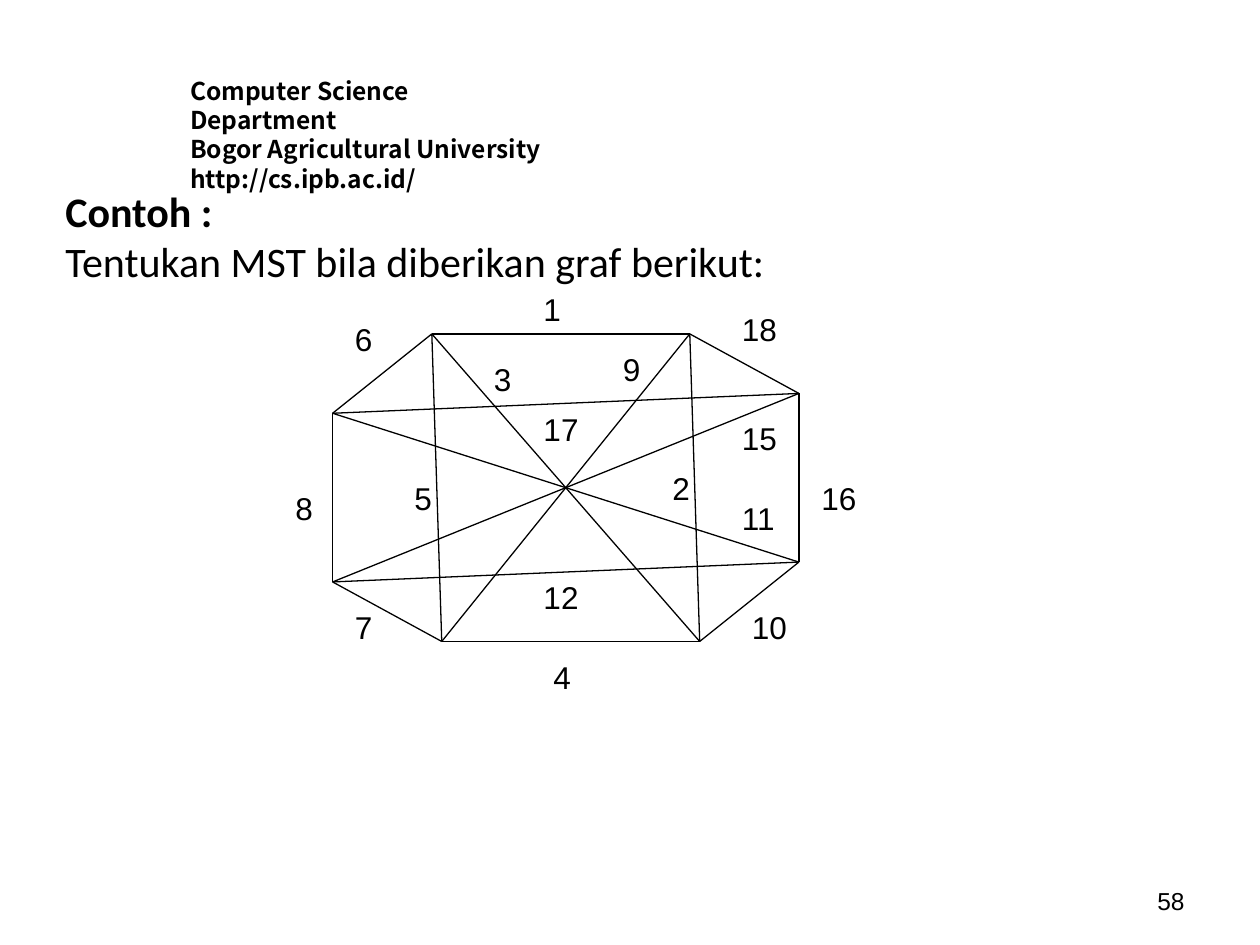
from typing import NamedTuple

from lxml import etree
from pptx import Presentation
from pptx.dml.color import RGBColor
from pptx.enum.shapes import MSO_CONNECTOR
from pptx.enum.text import MSO_ANCHOR, PP_ALIGN
from pptx.oxml.ns import qn
from pptx.util import Inches, Mm, Pt

STRAIGHT = MSO_CONNECTOR.STRAIGHT
TOP, MIDDLE = MSO_ANCHOR.TOP, MSO_ANCHOR.MIDDLE
LEFT, RIGHT = PP_ALIGN.LEFT, PP_ALIGN.RIGHT
BLACK = "000000"

# The graph lies on a grid of 2 mm cells, with column 0 and row 0 here
CELL = Mm(2)
ORIGIN_X, ORIGIN_Y = Inches(2.64), Inches(2.65)


class Cell(NamedTuple):
    col: int
    row: int


class Edge(NamedTuple):
    start: str
    end: str
    weight: int
    label: Cell


class Style(NamedTuple):
    font: str
    size: int
    bold_lines: int = 0
    align: PP_ALIGN = LEFT
    anchor: MSO_ANCHOR = TOP
    wrap: bool = True
    spacing: float | None = None


HEADER = Style("Noto Sans CJK KR", 14, bold_lines=3, spacing=Pt(16.8))
BODY = Style("Calibri", 24, bold_lines=1)
WEIGHT = Style("Arial", 18, wrap=False)
PAGE = Style("Arial", 14, align=RIGHT, anchor=MIDDLE)

# Vertices clockwise from the top left
VERTICES = {
    "A": Cell(10, 0), "B": Cell(36, 0), "C": Cell(47, 6), "D": Cell(47, 23),
    "E": Cell(37, 31), "F": Cell(11, 31), "G": Cell(0, 25), "H": Cell(0, 8),
}

EDGES = [
    # Outline
    Edge("A", "B", 1, Cell(20, -5)),
    Edge("B", "C", 18, Cell(40, -3)),
    Edge("C", "D", 16, Cell(48, 14)),
    Edge("D", "E", 10, Cell(41, 27)),
    Edge("F", "E", 4, Cell(21, 32)),
    Edge("G", "F", 7, Cell(1, 27)),
    Edge("H", "G", 8, Cell(-5, 15)),
    Edge("A", "H", 6, Cell(1, -2)),
    # Inner edges
    Edge("A", "E", 3, Cell(15, 2)),
    Edge("F", "B", 9, Cell(28, 1)),
    Edge("F", "A", 5, Cell(7, 14)),
    Edge("B", "E", 2, Cell(33, 13)),
    Edge("H", "C", 17, Cell(20, 7)),
    Edge("G", "C", 15, Cell(40, 8)),
    Edge("H", "D", 11, Cell(40, 16)),
    Edge("G", "D", 12, Cell(20, 24)),
]


def rgb(color: str) -> RGBColor:
    return RGBColor.from_string(color)


def place(cell: Cell) -> tuple[int, int]:
    return ORIGIN_X + cell.col * CELL, ORIGIN_Y + cell.row * CELL


def add_text(s, text: str, x: int, y: int, w: int, h: int, style: Style) -> None:
    tf = s.shapes.add_textbox(x, y, w, h).text_frame
    tf.text = text
    tf.word_wrap = style.wrap
    tf.vertical_anchor = style.anchor
    for i, p in enumerate(tf.paragraphs):
        p.alignment = style.align
        if style.spacing:
            p.line_spacing = style.spacing
        for r in p.runs:
            r.font.name = style.font
            r.font.size = Pt(style.size)
            r.font.bold = i < style.bold_lines
            r.font.color.rgb = rgb(BLACK)


def add_edge(s, edge: Edge) -> None:
    line = s.shapes.add_connector(
        STRAIGHT, *place(VERTICES[edge.start]), *place(VERTICES[edge.end]))
    line.line.color.rgb = rgb(BLACK)
    line.line.width = Pt(0.75)
    etree.SubElement(line._element.spPr, qn("a:effectLst"))


def add_weight(s, edge: Edge) -> None:
    text = str(edge.weight)
    width = Inches(0.2 + 0.14 * len(text))
    add_text(s, text, *place(edge.label), width, Inches(0.4), WEIGHT)


def main() -> None:
    prs = Presentation()
    prs.slide_width, prs.slide_height = Inches(10), Inches(7.5)
    s = prs.slides.add_slide(prs.slide_layouts[6])

    # Department header and page number
    add_text(s, "Computer Science Department\nBogor Agricultural University\n"
             "http://cs.ipb.ac.id/",
             Inches(1.41), Inches(0.55), Inches(3.09), Inches(0.81), HEADER)
    add_text(s, "58", Inches(7.17), Inches(6.95), Inches(2.33), Inches(0.4), PAGE)

    # Weighted graph
    for edge in EDGES:
        add_edge(s, edge)
    for edge in EDGES:
        add_weight(s, edge)

    # Exercise
    add_text(s, "Contoh :\nTentukan MST bila diberikan graf berikut:",
             Inches(0.42), Inches(1.42), Inches(8), Inches(1.31), BODY)

    prs.save("out.pptx")


if __name__ == "__main__":
    main()
